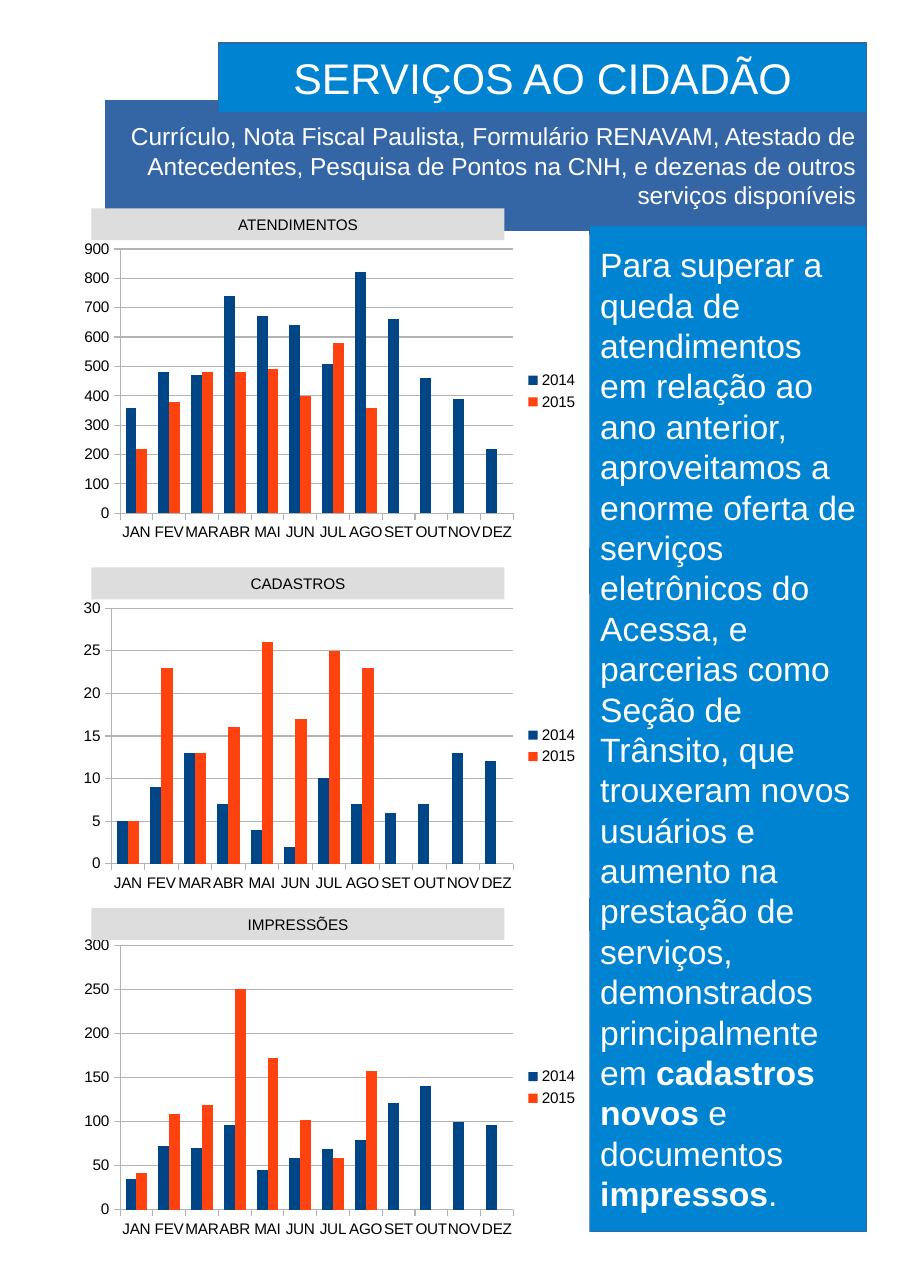
from lxml import etree
from pptx import Presentation
from pptx.chart.data import CategoryChartData
from pptx.dml.color import RGBColor
from pptx.enum.chart import XL_CHART_TYPE, XL_LEGEND_POSITION, XL_TICK_MARK
from pptx.enum.shapes import MSO_SHAPE
from pptx.enum.text import MSO_ANCHOR, PP_ALIGN
from pptx.oxml import parse_xml
from pptx.oxml.ns import nsdecls, qn
from pptx.util import Inches, Pt

COLUMN = XL_CHART_TYPE.COLUMN_CLUSTERED
LEGEND_RIGHT = XL_LEGEND_POSITION.RIGHT
TICK_OUT, TICK_NONE = XL_TICK_MARK.OUTSIDE, XL_TICK_MARK.NONE
RECT = MSO_SHAPE.RECTANGLE
MIDDLE = MSO_ANCHOR.MIDDLE
LEFT, CENTER, RIGHT = PP_ALIGN.LEFT, PP_ALIGN.CENTER, PP_ALIGN.RIGHT

WHITE = RGBColor(0xFF, 0xFF, 0xFF)
BLACK = RGBColor(0, 0, 0)
BLUE = RGBColor(0x00, 0x84, 0xD1)
SLATE = RGBColor(0x34, 0x65, 0xA4)
LIGHT_GRAY = RGBColor(0xDD, 0xDD, 0xDD)
AXIS_GRAY = RGBColor(0xB3, 0xB3, 0xB3)
NAVY = RGBColor(0x00, 0x45, 0x86)
ORANGE = RGBColor(0xFF, 0x42, 0x0E)

MONTHS = "JAN FEV MAR ABR MAI JUN JUL AGO SET OUT NOV DEZ".split()
# Inches between the plot area and the chart edges
PLOT_TOP, PLOT_RIGHT, PLOT_BOTTOM = 0.13, 0.69, 0.31

SUBTITLE = ("Currículo, Nota Fiscal Paulista, Formulário RENAVAM, Atestado de "
            "Antecedentes, Pesquisa de Pontos na CNH, e dezenas de outros "
            "serviços disponíveis")
# (text, bold)
SUMMARY = [
    ("Para superar a queda de atendimentos em relação ao ano anterior, "
     "aproveitamos a enorme oferta de serviços eletrônicos do Acessa, e "
     "parcerias como Seção de Trânsito, que trouxeram novos usuários e "
     "aumento na prestação de serviços, demonstrados principalmente em ", False),
    ("cadastros novos", True),
    (" e documentos ", False),
    ("impressos", True),
    (".", False),
]

# title, title top, chart box, plot left, axis maximum, axis step, 2014, 2015
CHARTS = [
    ("ATENDIMENTOS", 1.89, (0.67, 2.13, 4.68, 2.84), 0.42, 900, 100,
     [360, 480, 470, 740, 670, 640, 510, 820, 660, 460, 390, 220],
     [220, 380, 480, 480, 490, 400, 580, 360]),
    ("CADASTROS", 5.15, (0.66, 5.39, 4.69, 2.76), 0.35, 30, 5,
     [5, 9, 13, 7, 4, 2, 10, 7, 6, 7, 13, 12],
     [5, 23, 13, 16, 26, 17, 25, 23]),
    ("IMPRESSÕES", 8.24, (0.67, 8.45, 4.68, 2.84), 0.42, 300, 50,
     [35, 72, 70, 96, 45, 58, 69, 79, 121, 140, 99, 96],
     [42, 109, 119, 250, 172, 102, 59, 157]),
]


class Poster:
    font = "Arial"

    def __init__(self, slide):
        self.s = slide

    def style_font(self, font, size, color):
        font.name = self.font
        font.size = Pt(size)
        font.color.rgb = color

    def box(self, at, fill, runs, size, color=WHITE, align=LEFT, line=None):
        sp = self.s.shapes.add_shape(RECT, *map(Inches, at))
        sp.shadow.inherit = False
        sp.fill.solid()
        sp.fill.fore_color.rgb = fill
        if line is None:
            sp.line.fill.background()
        else:
            sp.line.color.rgb = line
            sp.line.width = Pt(0)
        tf = sp.text_frame
        tf.word_wrap = True
        tf.vertical_anchor = MIDDLE
        p = tf.paragraphs[0]
        p.alignment = align
        self.style_font(p.font, size, color)
        for text, bold in runs:
            r = p.add_run()
            r.text = text
            if bold:
                r.font.bold = True

    def gray_line(self, fmt):
        fmt.line.color.rgb = AXIS_GRAY
        fmt.line.width = Pt(0)

    def column_chart(self, at, plot_left, maximum, step, v2014, v2015):
        data = CategoryChartData()
        data.categories = MONTHS
        data.add_series("2014", v2014)
        data.add_series("2015", v2015 + [None] * (len(MONTHS) - len(v2015)))
        chart = self.s.shapes.add_chart(COLUMN, *map(Inches, at), data).chart
        chart.has_title = False
        self.style_font(chart.font, 10, BLACK)

        chart.has_legend = True
        chart.legend.position = LEGEND_RIGHT
        chart.legend.include_in_layout = False
        self.style_font(chart.legend.font, 10, BLACK)

        plot = chart.plots[0]
        plot.vary_by_categories = False
        plot.gap_width = 100
        plot.overlap = 0
        for series, color in zip(plot.series, (NAVY, ORANGE)):
            series.format.fill.solid()
            series.format.fill.fore_color.rgb = color

        # Tick labels take the chart font, which keeps each month on one line
        for axis in (chart.category_axis, chart.value_axis):
            axis.major_tick_mark = TICK_OUT
            axis.minor_tick_mark = TICK_NONE
            self.gray_line(axis.format)
            for text_style in axis._element.findall(qn("c:txPr")):
                axis._element.remove(text_style)
        values = chart.value_axis
        values.minimum_scale = 0
        values.maximum_scale = maximum
        values.major_unit = step
        self.gray_line(values.major_gridlines.format)
        self.white_background(chart)
        self.place_plot(chart, plot_left, *at[2:])

    def white_background(self, chart):
        sp_pr = parse_xml(
            f'<c:spPr {nsdecls("c", "a")}><a:solidFill><a:srgbClr val="{WHITE}"/>'
            '</a:solidFill><a:ln><a:noFill/></a:ln></c:spPr>')
        chart._chartSpace.find(qn("c:chart")).addnext(sp_pr)

    def place_plot(self, chart, left, width, height):
        """Fix the inner plot area of a chart of the given size in inches."""
        area = chart._chartSpace.find(".//" + qn("c:plotArea"))
        for old in area.findall(qn("c:layout")):
            area.remove(old)
        layout = etree.Element(qn("c:layout"))
        manual = etree.SubElement(layout, qn("c:manualLayout"))
        settings = [
            ("layoutTarget", "inner"), ("xMode", "edge"), ("yMode", "edge"),
            ("x", left / width), ("y", PLOT_TOP / height),
            ("w", (width - left - PLOT_RIGHT) / width),
            ("h", (height - PLOT_TOP - PLOT_BOTTOM) / height)]
        for tag, value in settings:
            etree.SubElement(manual, qn("c:" + tag)).set("val", str(value))
        area.insert(0, layout)


def main():
    prs = Presentation()
    prs.slide_width, prs.slide_height = Inches(8.27), Inches(11.69)
    poster = Poster(prs.slides.add_slide(prs.slide_layouts[6]))

    poster.box((0.96, 0.91, 6.91, 1.18), SLATE, [(SUBTITLE, False)], 16,
               align=RIGHT, line=SLATE)
    poster.box((5.35, 2.05, 2.52, 9.13), BLUE, SUMMARY, 22, line=SLATE)
    poster.box((1.98, 0.39, 5.89, 0.63), BLUE, [("SERVIÇOS AO CIDADÃO", False)],
               28, align=CENTER, line=SLATE)
    for title, top, at, *chart in CHARTS:
        poster.column_chart(at, *chart)
        poster.box((0.83, top, 3.75, 0.29), LIGHT_GRAY, [(title, False)], 10,
                   color=BLACK, align=CENTER)
    prs.save("out.pptx")


if __name__ == "__main__":
    main()
